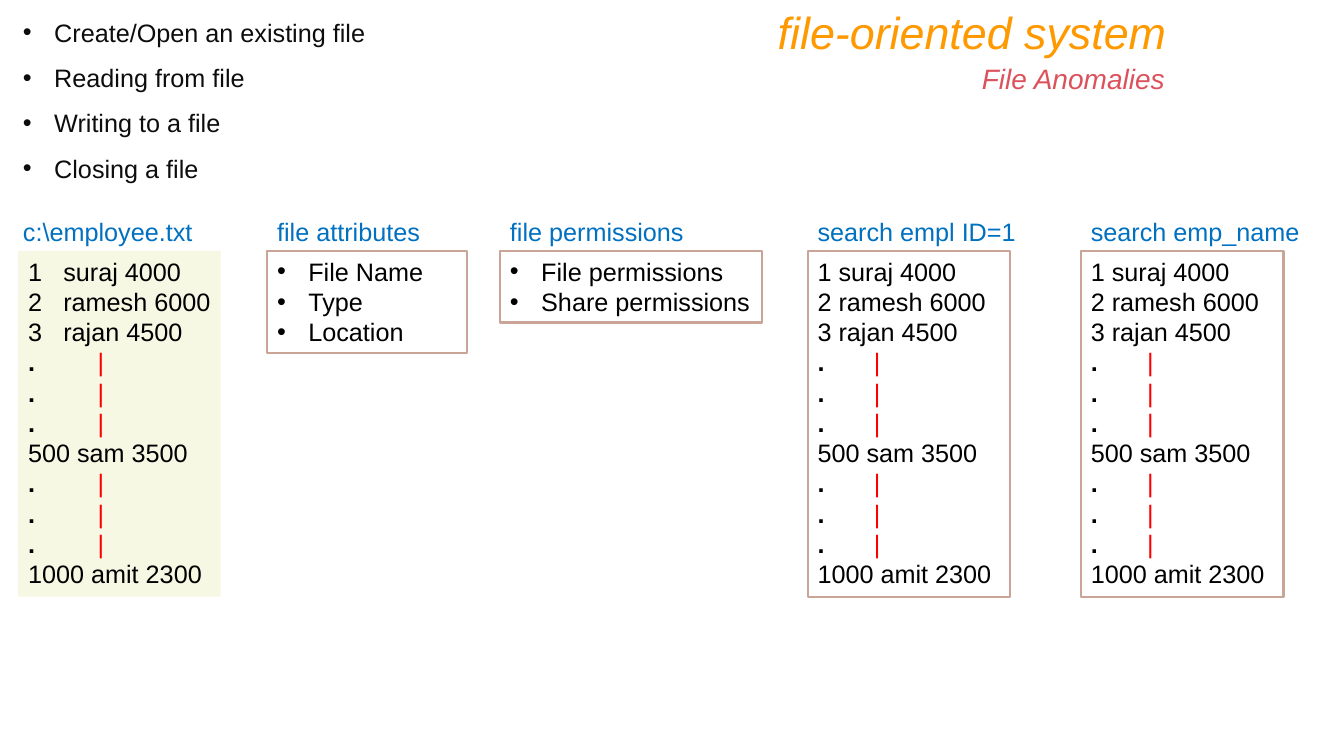
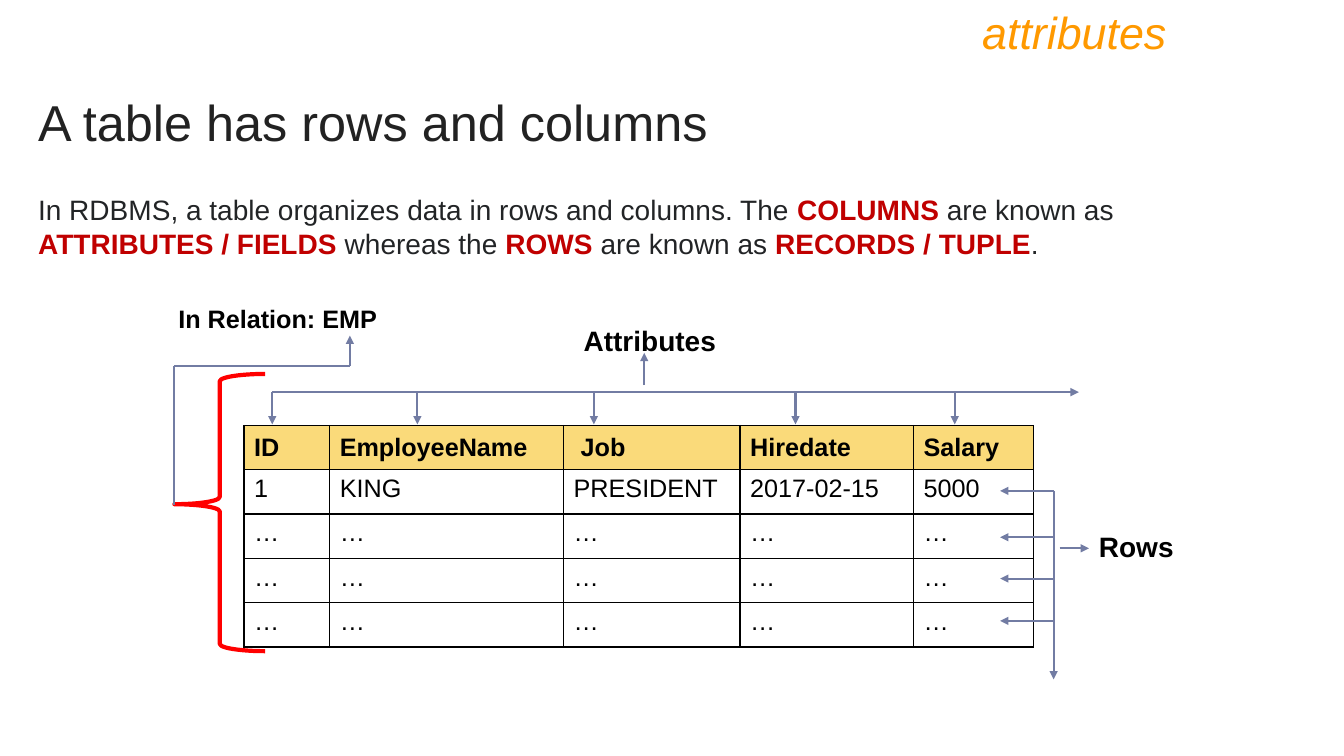
from lxml import etree
from pptx import Presentation
from pptx import util as u
from pptx.dml import color
from pptx.enum import shapes, text
from pptx.oxml import ns

PX = 9144
FONT = "Arial"
BLACK, RED, ORANGE, ROSE = "000000", "FF0000", "FF9900", "DC525C"
BLUE, TAN, CREAM, SLATE = "0070C0", "CAA496", "F6F8E4", "727CA3"
HEADER_GOLD, KEYWORD, BODY = "FADA7A", "C00000", "222426"
INDENT = 31


def px(length):
    """Turn pixels into EMU."""
    return u.Emu(int(length * PX))


def rgb(value):
    """Turn a hex string into a colour."""
    return color.RGBColor.from_string(value)


def add_xml(parent, tag, **attributes):
    """Append one DrawingML element."""
    return etree.SubElement(parent, ns.qn(tag), {k: str(v) for k, v in attributes.items()})


def style(run, size, hex_color, bold=False, italic=False):
    """Format one run."""
    run.font.name = FONT
    run.font.size = u.Pt(size)
    run.font.color.rgb = rgb(hex_color)
    run.font.bold = bold
    run.font.italic = italic


def write(frame, lines, size, hex_color, bold=False, italic=False, bullet=False,
          align=text.PP_ALIGN.LEFT, spacing=None):
    """Fill a frame with one uniformly styled paragraph per line."""
    frame.text = "\n".join(lines)
    for paragraph in frame.paragraphs:
        if bullet:
            props = paragraph._p.get_or_add_pPr()
            props.set("marL", str(px(INDENT)))
            props.set("indent", str(-px(INDENT)))
            add_xml(props, "a:buFont", typeface=FONT)
            add_xml(props, "a:buChar", char="•")
        paragraph.alignment = align
        if spacing:
            paragraph.line_spacing = spacing
        for run in paragraph.runs:
            style(run, size, hex_color, bold, italic)


def label(slide, box, lines, size, hex_color, wrap=True, **options):
    """Add a text box and return its frame."""
    frame = slide.shapes.add_textbox(*map(px, box)).text_frame
    frame.word_wrap = wrap
    frame.auto_size = text.MSO_AUTO_SIZE.SHAPE_TO_FIT_TEXT
    write(frame, lines, size, hex_color, **options)
    return frame


def outline(slide, kind, box, line=None, width=1.5, fill=None):
    """Add a preset shape with optional line and fill."""
    shape = slide.shapes.add_shape(kind, *map(px, box))
    shape.shadow.inherit = False
    if fill:
        shape.fill.solid()
        shape.fill.fore_color.rgb = rgb(fill)
    else:
        shape.fill.background()
    if line:
        shape.line.color.rgb = rgb(line)
        shape.line.width = u.Pt(width)
    else:
        shape.line.fill.background()
    return shape


def link(slide, x1, y1, x2, y2, arrow=True):
    """Draw a straight connector, with an arrowhead at its end if wanted."""
    connector = slide.shapes.add_connector(
        shapes.MSO_CONNECTOR.STRAIGHT, *map(px, (x1, y1, x2, y2)))
    connector.line.color.rgb = rgb(SLATE)
    connector.line.width = u.Pt(1.5)
    if arrow:
        add_xml(connector.line._get_or_add_ln(), "a:tailEnd", type="triangle")
    add_xml(connector._element.spPr, "a:effectLst")


def new_slide(deck, title):
    """Add a blank slide with the shared orange title."""
    slide = deck.slides.add_slide(deck.slide_layouts[6])
    label(slide, (167, 0, 1000, 64), [title], 32, ORANGE, italic=True,
          align=text.PP_ALIGN.RIGHT)
    return slide


def panel(slide, box, heading, heading_width, lines, line=TAN, fill=None, bullet=False,
          heading_shift=0):
    """Add a framed list with its blue heading above and return its frame."""
    left, top, width, height = box
    label(slide, (left + heading_shift, top - 39, heading_width, 40), [heading], 18, BLUE)
    frame = outline(slide, shapes.MSO_SHAPE.RECTANGLE, box, line, fill=fill).text_frame
    frame.word_wrap = True
    frame.vertical_anchor = text.MSO_ANCHOR.TOP
    write(frame, lines, 18, BLACK, bullet=bullet)
    return frame


def records_panel(slide, left, heading, heading_width, bar_stop, id_stop=None, **options):
    """Add the employee records with red bars on the skipped rows."""
    gap = "\t" if id_stop else " "
    staff = [f"{number}{gap}{rest}" for number, rest in
             enumerate(("suraj 4000", "ramesh 6000", "rajan 4500"), 1)]
    skipped = ["."] * 3
    lines = staff + skipped + ["500 sam 3500"] + skipped + ["1000 amit 2300"]
    frame = panel(slide, (left, 249, 201, 343), heading, heading_width, lines, **options)
    for line, paragraph in zip(lines, frame.paragraphs):
        stop = bar_stop if line == "." else id_stop
        if stop and (line == "." or "\t" in line):
            tabs = add_xml(paragraph._p.get_or_add_pPr(), "a:tabLst")
            add_xml(tabs, "a:tab", pos=px(stop), algn="l")
        if line == ".":
            paragraph.runs[0].font.bold = True
            bar = paragraph.add_run()
            bar.text = "\t|"
            style(bar, 18, RED)


def file_slide(deck):
    """Build the slide on the file-oriented system."""
    slide = new_slide(deck, "file-oriented system")
    label(slide, (964, 56, 203, 44), ["File Anomalies"], 20, ROSE, italic=True)
    label(slide, (13, -3, 606, 186),
          ["Create/Open an existing file", "Reading from file", "Writing to a file",
           "Closing a file"], 18, "0D0D0D", bullet=True, spacing=1.5)
    records_panel(slide, 18, "c:\\employee.txt", 206, 69, id_stop=35, line=None,
                  fill=CREAM, heading_shift=-5)
    panel(slide, (265, 249, 198, 101), "file attributes", 198,
          ["File Name", "Type", "Location"], bullet=True)
    panel(slide, (496, 249, 260, 71), "file permissions", 260,
          ["File permissions", "Share permissions"], bullet=True)
    records_panel(slide, 801, "search empl ID=1", 225, 56)
    records_panel(slide, 1072, "search emp_name", 238, 56)


def explanation(slide, box, parts):
    """Add a paragraph whose every second part is a bold keyword."""
    frame = label(slide, box, [parts[0]], 20, BODY)
    for index, part in enumerate(parts[1:], 1):
        run = frame.paragraphs[0].add_run()
        run.text = part
        keyword = index % 2 == 1
        style(run, 20, KEYWORD if keyword else BODY, bold=keyword)


def border(cell):
    """Give a cell thin black edges."""
    props = cell._tc.get_or_add_tcPr()
    for position, side in enumerate(("a:lnL", "a:lnR", "a:lnT", "a:lnB")):
        edge = etree.Element(ns.qn(side), {"w": str(u.Pt(1))})
        add_xml(add_xml(edge, "a:solidFill"), "a:srgbClr", val=BLACK)
        props.insert(position, edge)


def employee_table(slide, left, top):
    """Add the EMP table."""
    widths, row_height = (85, 232, 175, 172, 119), 44
    rows = [("ID", "EmployeeName", "Job", "Hiredate", "Salary"),
            ("1", "KING", "PRESIDENT", "2017-02-15", "5000")] + [("…",) * 5] * 3
    table = slide.shapes.add_table(
        len(rows), len(widths),
        *map(px, (left, top, sum(widths), row_height * len(rows)))).table
    for column, width in zip(table.columns, widths):
        column.width = px(width)
    for r, row in enumerate(rows):
        for c, value in enumerate(row):
            cell = table.cell(r, c)
            write(cell.text_frame, [value], 18, BLACK, bold=r == 0)
            if r == 0:
                cell.fill.solid()
                cell.fill.fore_color.rgb = rgb(HEADER_GOLD)
                cell.vertical_anchor = text.MSO_ANCHOR.MIDDLE
            else:
                cell.fill.background()
            border(cell)
    table.cell(0, 2).margin_left = px(17)


def relation_marks(slide, left, top):
    """Bracket the table and lead to the relation name."""
    label(slide, (left - 6, top - 75, 219, 40), ["In Relation: EMP"], 18, BLACK,
          wrap=False, bold=True)
    brace = outline(slide, shapes.MSO_SHAPE.LEFT_BRACE, (left, top, 90, 275), RED, 3)
    brace.adjustments[0] = 0.08
    brace.adjustments[1] = 0.47
    link(slide, left, top + 130, left, top - 8, arrow=False)
    link(slide, left, top - 8, left + 174, top - 8, arrow=False)
    link(slide, left + 174, top - 8, left + 174, top - 38)


def attribute_marks(slide, left, top):
    """Point from the attributes label to each column."""
    label(slide, (left + 299, top - 73, 153, 44), ["Attributes"], 20, BLACK,
          wrap=False, bold=True)
    link(slide, left, top, left + 800, top)
    link(slide, left + 369, top - 7, left + 369, top - 39)
    for offset in (0, 144, 319, 519, 677):
        link(slide, left + offset, top, left + offset, top + 32)


def row_marks(slide, left, top):
    """Point from the rows label to each record."""
    label(slide, (left + 35, top + 33, 95, 44), ["Rows"], 20, BLACK, wrap=False, bold=True)
    link(slide, left + 6, top + 57, left + 35, top + 57)
    link(slide, left, top, left, top + 187)
    for offset in (0, 46, 87, 129):
        link(slide, left, top + offset, left - 53, top + offset)


def attributes_slide(deck):
    """Build the slide on rows and columns."""
    slide = new_slide(deck, "attributes")
    label(slide, (28, 85, 967, 71), ["A table has rows and columns"], 36, "222222")
    explanation(slide, (28, 186, 1260, 77), [
        "In RDBMS, a table organizes data in rows and columns. The ", "COLUMNS ",
        "are known as ", "ATTRIBUTES / FIELDS ", "whereas the ", "ROWS ",
        "are known as ", "RECORDS / TUPLE", "."])
    employee_table(slide, 242, 422)
    relation_marks(slide, 173, 371)
    attribute_marks(slide, 270, 389)
    row_marks(slide, 1045, 487)


def main():
    """Build and save the deck."""
    deck = Presentation()
    deck.slide_width, deck.slide_height = px(1333), px(750)
    file_slide(deck)
    attributes_slide(deck)
    deck.save("out.pptx")


if __name__ == "__main__":
    main()
